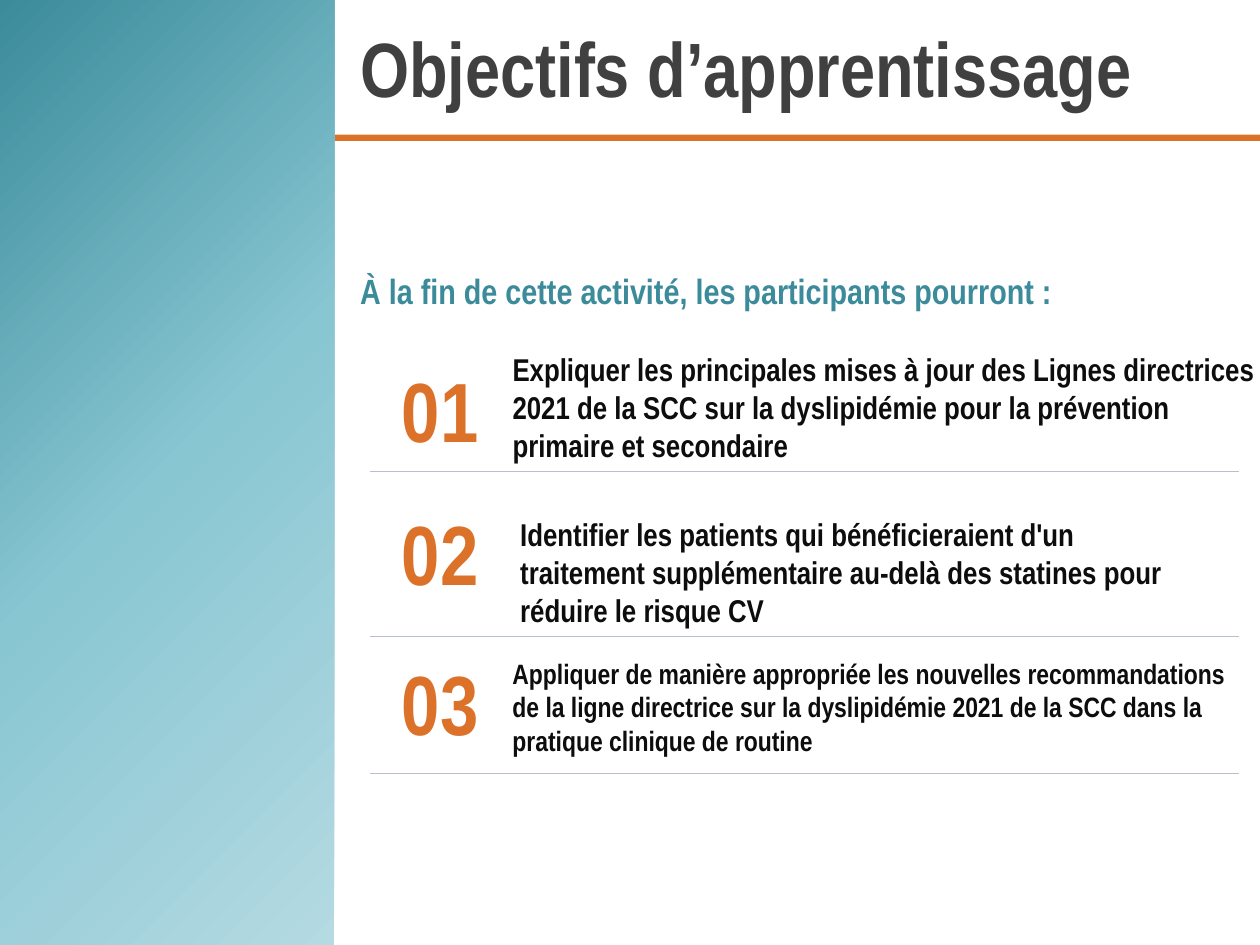
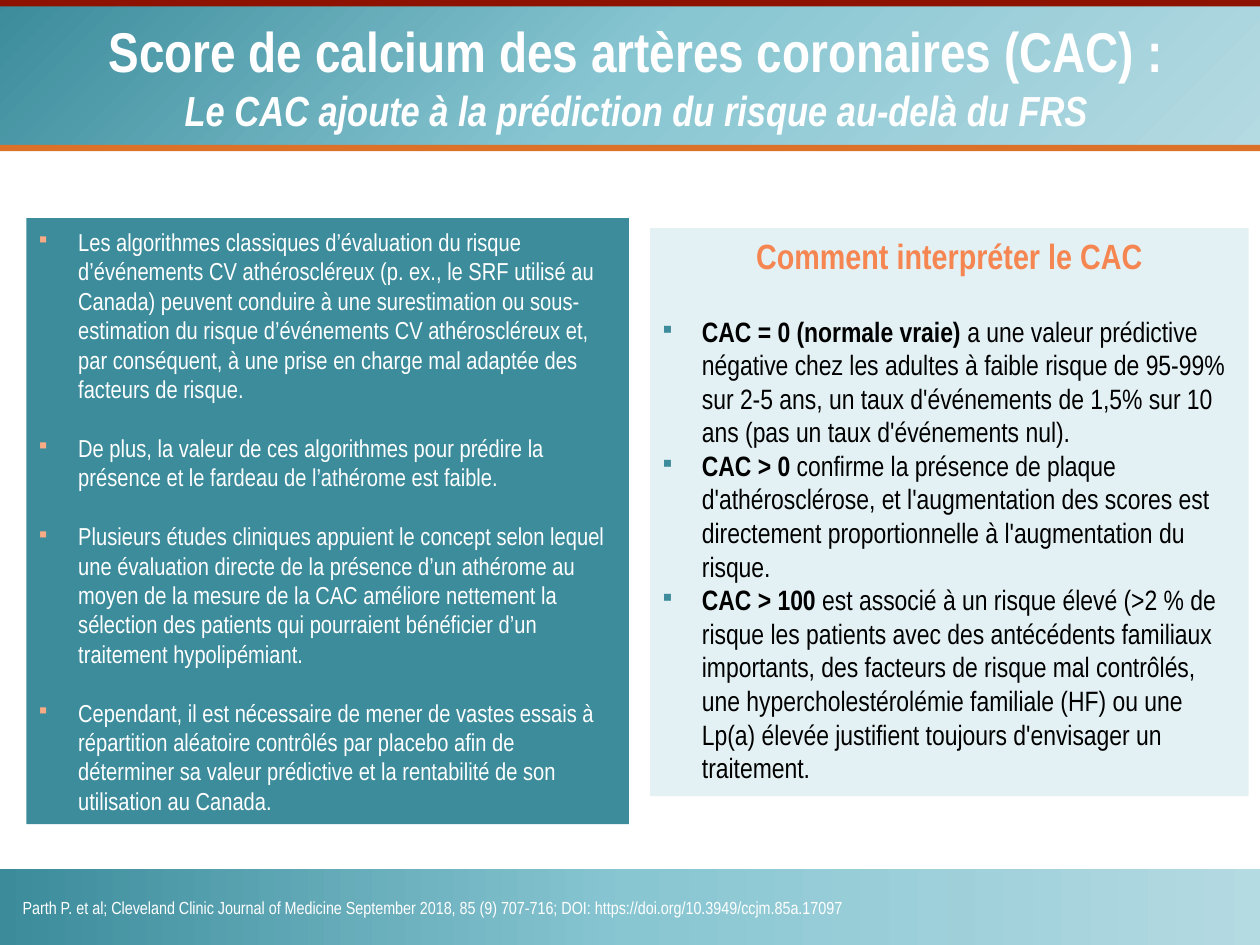
from dataclasses import dataclass

from lxml.etree import SubElement
from pptx import Presentation
from pptx.dml.color import RGBColor
from pptx.enum.shapes import MSO_CONNECTOR as Connector, MSO_SHAPE as Shape
from pptx.enum.text import MSO_ANCHOR as Anchor, PP_ALIGN as Align
from pptx.oxml.ns import qn
from pptx.util import Pt

# Content; frames are left, top, width, height in points
OBJECTIVES_TITLE = "Objectifs d’apprentissage"
OBJECTIVES_INTRO = "À la fin de cette activité, les participants pourront :"
OBJECTIVES = [
    dict(text="Expliquer les principales mises à jour des Lignes directrices 2021 de la SCC "
              "sur la dyslipidémie pour la prévention primaire et secondaire",
         frame=(285.8, 196.6, 445, 72.7), size=18, number_top=201.6, rule=269.3),
    dict(text="Identifier les patients qui bénéficieraient d'un traitement supplémentaire "
              "au-delà des statines pour réduire le risque CV",
         frame=(290.2, 290.9, 400.3, 72.7), size=18, number_top=283, rule=363.6),
    dict(text="Appliquer de manière appropriée les nouvelles recommandations de la ligne "
              "directrice sur la dyslipidémie 2021 de la SCC dans la pratique clinique de routine",
         frame=(285.8, 371.5, 424.8, 65.5), size=16, number_top=368.6, rule=442.1),
]

CALCIUM_TITLE = "Score de calcium des artères coronaires (CAC) :"
CALCIUM_SUBTITLE = "Le CAC ajoute à la prédiction du risque au-delà du FRS"
RATIONALE = [
    "Les algorithmes classiques d’évaluation du risque d’événements CV athéroscléreux "
    "(p. ex., le SRF utilisé au Canada) peuvent conduire à une surestimation ou "
    "sous-estimation du risque d’événements CV athéroscléreux et, par conséquent, "
    "à une prise en charge mal adaptée des facteurs de risque.",
    "De plus, la valeur de ces algorithmes pour prédire la présence et le fardeau de "
    "l’athérome est faible.",
    "Plusieurs études cliniques appuient le concept selon lequel une évaluation directe de "
    "la présence d’un athérome au moyen de la mesure de la CAC améliore nettement la "
    "sélection des patients qui pourraient bénéficier d’un traitement hypolipémiant.",
    "Cependant, il est nécessaire de mener de vastes essais à répartition aléatoire "
    "contrôlés par placebo afin de déterminer sa valeur prédictive et la rentabilité de "
    "son utilisation au Canada.",
]
READING_TITLE = "Comment interpréter le CAC"
READINGS = [
    ("CAC = 0 (normale vraie) ",
     "a une valeur prédictive négative chez les adultes à faible risque de 95-99% sur "
     "2-5 ans, un taux d'événements de 1,5% sur 10 ans (pas un taux d'événements nul)."),
    ("CAC > 0 ",
     "confirme la présence de plaque d'athérosclérose, et l'augmentation des scores est "
     "directement proportionnelle à l'augmentation du risque."),
    ("CAC > 100 ",
     "est associé à un risque élevé (>2 % de risque les patients avec des antécédents "
     "familiaux importants, des facteurs de risque mal contrôlés, une "
     "hypercholestérolémie familiale (HF) ou une Lp(a) élevée justifient toujours "
     "d'envisager un traitement."),
]
CITATION = ("Parth P. et al; Cleveland Clinic Journal of Medicine September 2018, "
            "85 (9) 707-716; DOI: https://doi.org/10.3949/ccjm.85a.17097")


@dataclass(frozen=True)
class Theme:
    font: str = "Arial Narrow"
    gradient: tuple = ((0, "3B8B9B"), (50, "88C6D2"), (100, "B4DAE2"))
    teal: str = "3B8B9B"
    panel_teal: str = "3C8C9C"
    panel_pale: str = "E4F1F4"
    orange: str = "DC7229"
    coral: str = "F58651"
    peach: str = "F8AB84"
    dark_red: str = "8D1201"
    rule: str = "B8BFD0"
    title_gray: str = "404040"
    ink: str = "0D0D0D"
    black: str = "000000"
    white: str = "FFFFFF"
    title: int = 44
    number: int = 48
    band_title: int = 32
    band_subtitle: int = 24
    heading: int = 20
    body: int = 16
    small_body: int = 14
    citation: int = 10


THEME = Theme()
LINE_HEIGHT = 1.2
BULLET_INDENT = 22.5


def rgb(color):
    return RGBColor.from_string(color)


def add_block(page, frame, color=None):
    block = page.shapes.add_shape(Shape.RECTANGLE, *map(Pt, frame))
    block.shadow.inherit = False
    block.line.fill.background()
    if color:
        block.fill.solid()
        block.fill.fore_color.rgb = rgb(color)
    return block


def add_gradient_block(page, frame, from_corner=False):
    """Fill with the theme gradient, left to right or out of the top left corner."""
    block = add_block(page, frame)
    block.fill.gradient()
    gradient = block._element.spPr.find(qn("a:gradFill"))
    for child in list(gradient):
        gradient.remove(child)
    stops = SubElement(gradient, qn("a:gsLst"))
    for percent, color in THEME.gradient:
        stop = SubElement(stops, qn("a:gs"), pos=str(percent * 1000))
        SubElement(stop, qn("a:srgbClr"), val=color)
    if from_corner:
        circle = SubElement(gradient, qn("a:path"), path="circle")
        SubElement(circle, qn("a:fillToRect"), r="100000", b="100000")
    else:
        SubElement(gradient, qn("a:lin"), ang="0", scaled="0")


def add_rule(page, left, right, top):
    rule = page.shapes.add_connector(Connector.STRAIGHT, Pt(left), Pt(top), Pt(right), Pt(top))
    rule.line.color.rgb = rgb(THEME.rule)
    rule.line.width = Pt(0.75)
    SubElement(rule._element.spPr, qn("a:effectLst"))


def add_box(page, frame):
    return page.shapes.add_textbox(*map(Pt, frame))


def write(box, *spans, size, color, bold=False, italic=False, lead_bold=False,
          align=Align.LEFT, anchor=Anchor.TOP, wrap=True, before=0, bullet=None):
    """Add one paragraph to a box; lead_bold sets only its first span in bold."""
    frame = box.text_frame
    frame.word_wrap = wrap
    frame.vertical_anchor = anchor
    para = frame.paragraphs[0] if not frame.text else frame.add_paragraph()
    para.alignment = align
    if before:
        para.space_before = Pt(before)
    if bullet:
        props = para._p.get_or_add_pPr()
        props.set("marL", str(Pt(BULLET_INDENT)))
        props.set("indent", str(-Pt(BULLET_INDENT)))
        SubElement(SubElement(props, qn("a:buClr")), qn("a:srgbClr"), val=bullet)
        SubElement(props, qn("a:buFont"), typeface=THEME.font)
        SubElement(props, qn("a:buChar"), char="▪")
    for index, text in enumerate(spans):
        span = para.add_run()
        span.text = text
        span.font.name = THEME.font
        span.font.size = Pt(size)
        span.font.color.rgb = rgb(color)
        span.font.bold = bold or (lead_bold and index == 0)
        span.font.italic = italic


def build_objectives(page):
    add_block(page, (0, 77, 723, 3.6), THEME.orange)
    add_gradient_block(page, (0, 0, 191, 540), from_corner=True)
    write(add_box(page, (198.7, 8, 682, 60.5)), OBJECTIVES_TITLE,
          size=THEME.title, color=THEME.title_gray, bold=True)
    write(add_box(page, (198.7, 150.5, 579.6, 31.7)), OBJECTIVES_INTRO,
          size=THEME.heading, color=THEME.teal, bold=True)
    for number, goal in enumerate(OBJECTIVES, start=1):
        write(add_box(page, (222.5, goal["number_top"], 59, 65.5)), f"{number:02}",
              size=THEME.number, color=THEME.orange, bold=True, wrap=False)
        write(add_box(page, goal["frame"]), goal["text"],
              size=goal["size"], color=THEME.ink, bold=True)
        add_rule(page, 211.7, 707.8, goal["rule"])


def build_calcium_score(page):
    add_gradient_block(page, (-1.4, -1.4, 721.4, 85.7), from_corner=True)
    add_block(page, (0, 82.8, 721.4, 3.6), THEME.orange)
    add_block(page, (-0.7, 0, 721.4, 3.6), THEME.dark_red)
    add_gradient_block(page, (0, 496.8, 721.4, 43.2))

    title = add_box(page, (5.8, 5.8, 715.7, 74.9))
    band = dict(color=THEME.white, bold=True, align=Align.CENTER, anchor=Anchor.MIDDLE)
    write(title, CALCIUM_TITLE, size=THEME.band_title, **band)
    write(title, CALCIUM_SUBTITLE, size=THEME.band_subtitle, italic=True, **band)

    reading = add_block(page, (371.5, 130.3, 342, 324.7), THEME.panel_pale)
    write(reading, READING_TITLE, size=THEME.heading, color=THEME.coral, bold=True,
          align=Align.CENTER)
    for index, (score, meaning) in enumerate(READINGS):
        write(reading, score, meaning, size=THEME.body, color=THEME.black, lead_bold=True,
              bullet=THEME.panel_teal, before=0 if index else 18 * LINE_HEIGHT)

    write(add_box(page, (5.8, 509, 874, 19.4)), CITATION,
          size=THEME.citation, color=THEME.white)

    rationale = add_block(page, (15.1, 124.6, 344.2, 346.3), THEME.panel_teal)
    for index, text in enumerate(RATIONALE):
        write(rationale, text, size=THEME.small_body, color=THEME.white,
              anchor=Anchor.MIDDLE, bullet=THEME.peach,
              before=THEME.small_body * LINE_HEIGHT if index else 0)


def main():
    deck = Presentation()
    deck.slide_width, deck.slide_height = Pt(720), Pt(540)
    for build in (build_objectives, build_calcium_score):
        build(deck.slides.add_slide(deck.slide_layouts[6]))
    deck.save("out.pptx")


if __name__ == "__main__":
    main()
